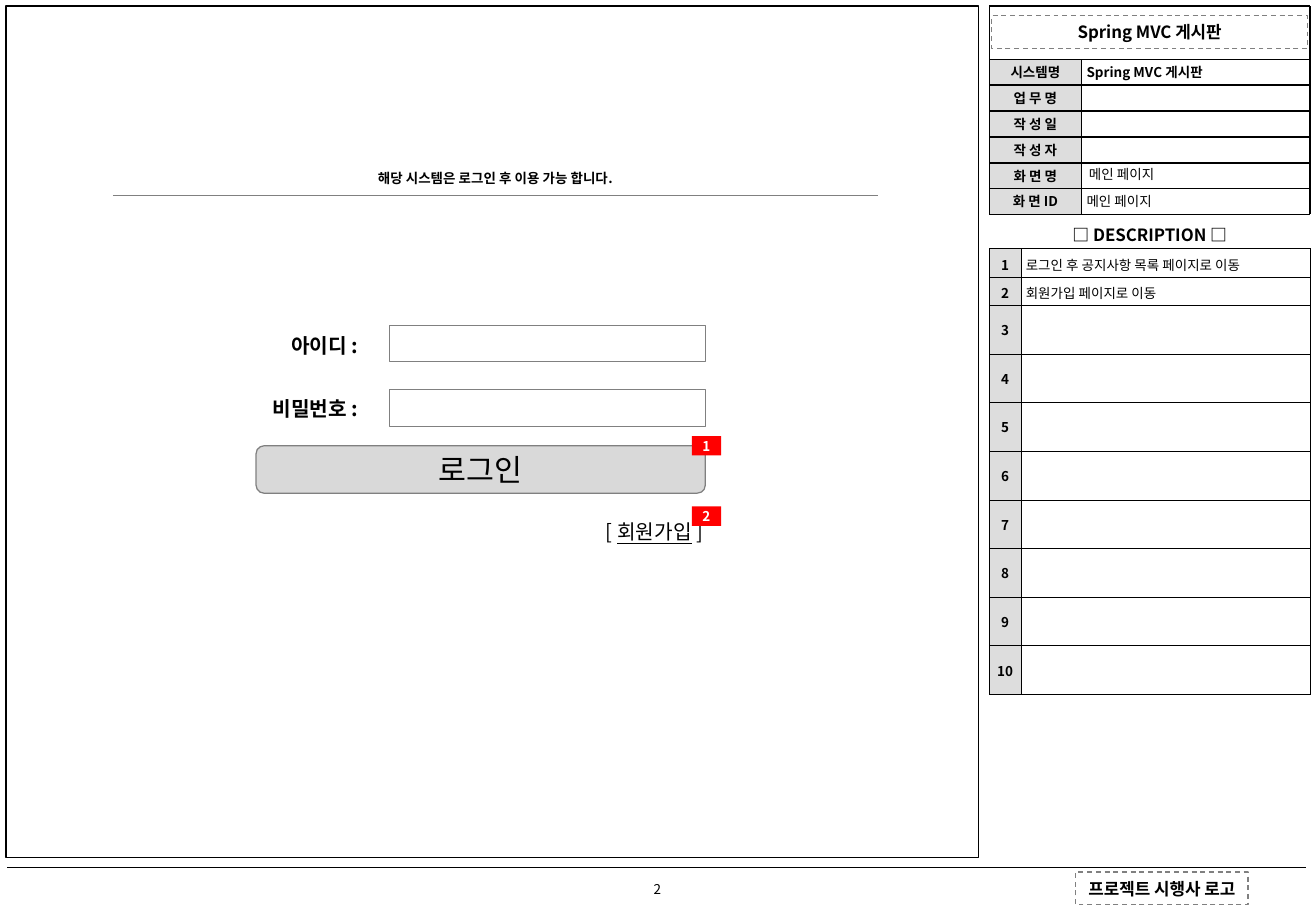
"""Build the login screen page of a board system's screen design."""
from lxml import etree
from pptx import Presentation, util as u
from pptx.dml.color import RGBColor
from pptx.enum import dml, shapes, text
from pptx.oxml.ns import qn

INFO = [("시스템명", "Spring MVC 게시판"), ("업 무 명", ""), ("작 성 일", ""),
        ("작 성 자", ""), ("화 면 명", ""), ("화 면 ID", "")]
HEAD = "Spring MVC 게시판"
LOGO = "프로젝트 시행사 로고"
PAGE = "2"
SCREEN = "메인 페이지"
DESC = "□ DESCRIPTION □"
NOTES = ["로그인 후 공지사항 목록 페이지로 이동", "회원가입 페이지로 이동"] + [""] * 8
NOTICE = "해당 시스템은 로그인 후 이용 가능 합니다."
FIELDS = ["아이디 :", "비밀번호 :"]
LOGIN = "로그인"
JOIN = [("[ ", False), ("회원가입", True), (" ]", False)]
MARKS = [("1", 3.59), ("2", 4.17)]

THEME = {"font": "Noto Sans CJK KR", "ink": "000000", "paper": "FFFFFF",
         "label": "DDDDDD", "edge": "808080", "button": "D9D9D9", "mark": "FF0000",
         "small": 8, "mid": 10, "large": 12, "huge": 18}
SIDE, MIDDLE, END, TOP = 8.15, 8.91, 10.79, 0.05
FIRST, STEP = 0.49, 0.2125
TIGHT, LOOSE, CELL = (0.04, 0.04), (0.1, 0.05), (0.04, 0.05)
LEFT, CENTER, RIGHT = text.PP_ALIGN.LEFT, text.PP_ALIGN.CENTER, text.PP_ALIGN.RIGHT
NO_STYLE = "{2D5ABB26-0587-4C30-8999-92F81FD0307C}"

deck = Presentation()
deck.slide_width, deck.slide_height = u.Inches(10.84), u.Inches(7.5)
slide = deck.slides.add_slide(deck.slide_layouts[6])


def tint(name):
    return RGBColor.from_string(THEME[name])


def inch(*nums):
    return [u.Inches(n) for n in nums]


def write(frame, runs, size="small", bold=False, align=LEFT, ink="ink", before=0):
    para = frame.paragraphs[0]
    para.alignment = align
    if before:
        para.space_before = u.Pt(before)
    for word, under in [(runs, False)] if isinstance(runs, str) else runs:
        run = para.add_run()
        run.text = word
        font = run.font
        font.name, font.size, font.bold = THEME["font"], u.Pt(THEME[size]), bold
        font.color.rgb = tint(ink)
        if under:
            font.underline = True
        east = etree.SubElement(run._r.get_or_add_rPr(), qn("a:ea"))
        east.set("typeface", THEME["font"])


def pad(item, gaps):
    side, end = inch(*gaps)
    item.margin_left = item.margin_right = side
    item.margin_top = item.margin_bottom = end
    item.vertical_anchor = text.MSO_ANCHOR.MIDDLE


def box(area, fill="paper", edge=None, dash=False, kind="RECTANGLE",
        runs="", gaps=LOOSE, wrap=True, **style):
    item = slide.shapes.add_shape(shapes.MSO_SHAPE[kind], *inch(*area))
    item.shadow.inherit = False
    item.fill.solid()
    item.fill.fore_color.rgb = tint(fill)
    if edge:
        item.line.color.rgb = tint(edge)
        item.line.width = u.Pt(0.75)
        if dash:
            item.line.dash_style = dml.MSO_LINE.DASH
    else:
        item.line.fill.background()
    if runs:
        pad(item.text_frame, gaps)
        item.text_frame.word_wrap = wrap
        write(item.text_frame, runs, **style)
    return item


def label(area, runs, gaps=LOOSE, wrap=True, **style):
    frame = slide.shapes.add_textbox(*inch(*area)).text_frame
    pad(frame, gaps)
    frame.word_wrap = wrap
    write(frame, runs, **style)
    return frame


def rule(x1, y1, x2, y2, width=1):
    item = slide.shapes.add_connector(shapes.MSO_CONNECTOR.STRAIGHT, *inch(x1, y1, x2, y2))
    item.line.color.rgb = tint("ink")
    item.line.width = u.Pt(width)
    etree.SubElement(item._element.spPr, qn("a:effectLst"))


def grid(left, top, cols, rows):
    area = inch(left, top, sum(cols), sum(rows))
    table = slide.shapes.add_table(len(rows), len(cols), *area).table
    table.first_row = table.horz_banding = False
    table._tbl.tblPr.find(qn("a:tableStyleId")).text = NO_STYLE
    for col, width in zip(table.columns, cols):
        col.width = u.Inches(width)
    for row, height in zip(table.rows, rows):
        row.height = u.Inches(height)
    return table


def dress(cell, sides="", edge="ink", fill=None, gaps=CELL):
    pad(cell, gaps)
    props = cell._tc.get_or_add_tcPr()
    for side in "LRTB":
        line = etree.SubElement(props, qn("a:ln" + side))
        if side in sides:
            line.set("w", str(u.Pt(0.45)))
            solid = etree.SubElement(line, qn("a:solidFill"))
            etree.SubElement(solid, qn("a:srgbClr")).set("val", THEME[edge])
        else:
            etree.SubElement(line, qn("a:noFill"))
    if fill:
        cell.fill.solid()
        cell.fill.fore_color.rgb = tint(fill)
    else:
        cell.fill.background()


def info():
    box((SIDE, TOP, END - SIDE, FIRST - TOP))
    for i, (name, value) in enumerate(INFO):
        y = FIRST + i * STEP
        box((SIDE, y, MIDDLE - SIDE, STEP), fill="label", runs=name, gaps=TIGHT,
            bold=True, align=CENTER, before=2)
        box((MIDDLE, y, END - MIDDLE, STEP), runs=value, gaps=TIGHT, bold=True, before=2)
    last = FIRST + len(INFO) * STEP
    for y in [TOP] + [FIRST + i * STEP for i in range(len(INFO) + 1)]:
        rule(SIDE, y, END, y)
    for x, y in [(SIDE, TOP), (MIDDLE, FIRST), (END, TOP)]:
        rule(x, y, x, last)
    box((8.17, 0.13, 2.6, 0.27), edge="edge", dash=True, runs=HEAD,
        size="mid", bold=True, align=CENTER)
    label((MIDDLE, 1.55, 0.68, 0.21), SCREEN, gaps=TIGHT)
    label((8.93, 1.33, 0.62, 0.21), SCREEN, gaps=TIGHT, wrap=False)


def notes():
    table = grid(SIDE, 1.78, [0.26, 2.38], [0.25] + [0.21] * len(NOTES))
    head = table.cell(0, 0)
    head.merge(table.cell(0, 1))
    dress(head, "B", fill="paper")
    dress(table.cell(0, 1), "B", fill="paper")
    write(head.text_frame, DESC, size="mid", bold=True, align=CENTER)
    for i, note in enumerate(NOTES, 1):
        key, body = table.cell(i, 0), table.cell(i, 1)
        dress(key, "LRTB", fill="label")
        dress(body, "LRTB", fill="paper", gaps=CELL if note else LOOSE)
        write(key.text_frame, str(i), bold=True, align=CENTER)
        if note:
            write(body.text_frame, note)


def login():
    notice = grid(0.93, 1.31, [6.3], [0.3]).cell(0, 0)
    dress(notice, "B", edge="edge")
    write(notice.text_frame, NOTICE, bold=True, align=CENTER, before=2)
    form = grid(1.79, 2.58, [1.26, 3.31], [0.52] * 3)
    form.cell(2, 0).merge(form.cell(2, 1))
    for cell in form.iter_cells():
        dress(cell, "LRTB", edge="paper", gaps=LOOSE)
    for i, field in enumerate(FIELDS):
        write(form.cell(i, 0).text_frame, field, size="large", bold=True, align=RIGHT)
        box((3.21, 2.68 + i * 0.53, 2.6, 0.3), edge="edge")
    box((2.11, 3.67, 3.7, 0.39), fill="button", edge="edge", kind="ROUNDED_RECTANGLE",
        runs=LOGIN, gaps=TIGHT, wrap=False, size="huge", align=CENTER)
    join = label((4.39, 4.23, 1.5, 0.3), JOIN, size="large", align=RIGHT)
    join.vertical_anchor = text.MSO_ANCHOR.TOP
    for mark, y in MARKS:
        box((5.7, y, 0.24, 0.16), fill="mark", runs=mark, wrap=False,
            bold=True, align=CENTER, ink="paper")


box((0.05, TOP, 8.01, 7.01), edge="ink")
info()
rule(0.06, 7.14, 10.76, 7.14, 0.75)
box((8.86, 7.18, 1.42, 0.27), edge="edge", dash=True, runs=LOGO, wrap=False,
    size="mid", bold=True, align=CENTER)
label((5.04, 7.19, 0.75, 0.26), PAGE, wrap=False, align=CENTER)
notes()
login()
deck.save("out.pptx")
